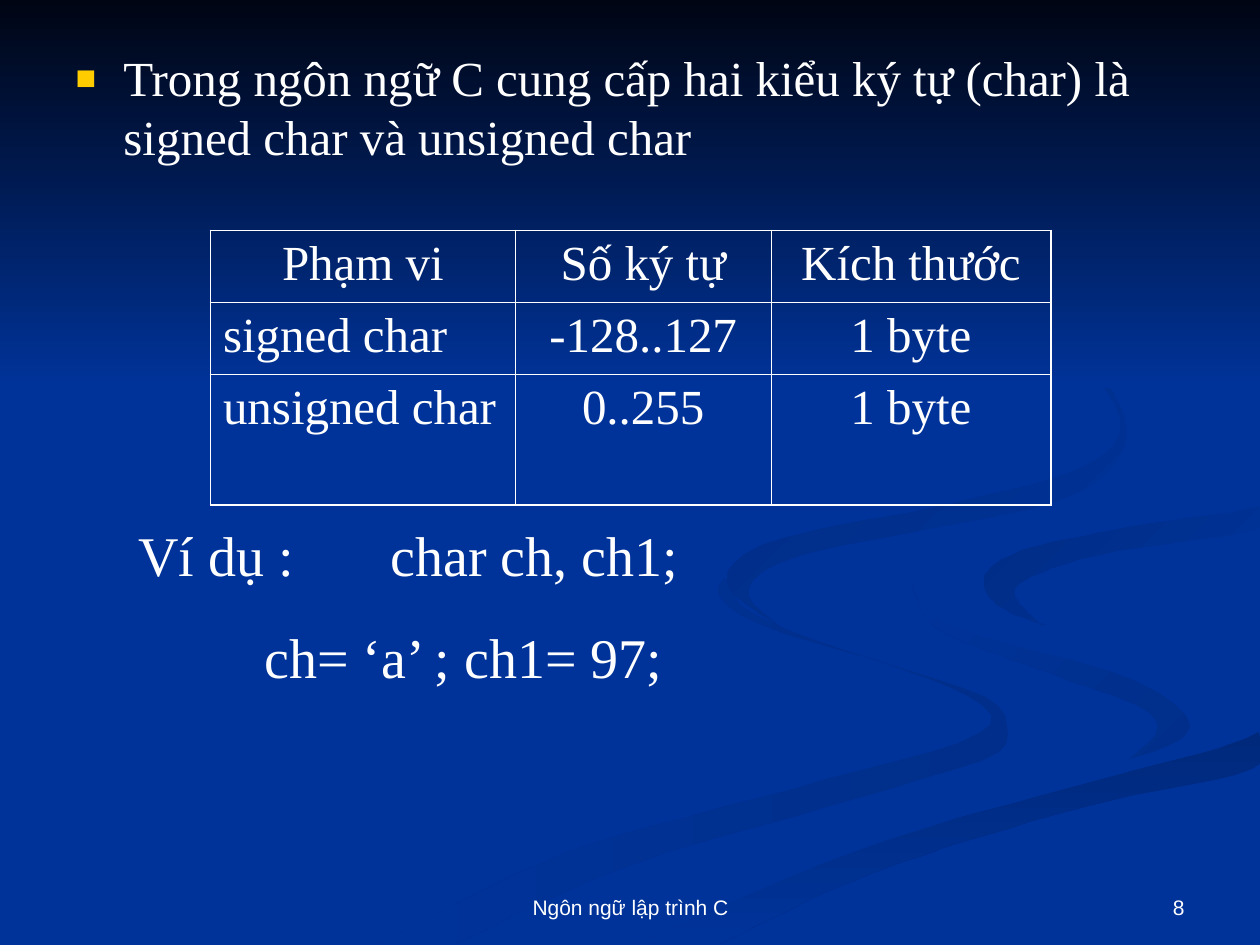
"""Slide on the two character types of the C language, with a table and an example."""
from dataclasses import dataclass
from itertools import pairwise

from lxml.etree import SubElement
from pptx import Presentation
from pptx.dml.color import RGBColor
from pptx.enum.text import MSO_ANCHOR as Anchor, PP_ALIGN as Align
from pptx.oxml import parse_xml
from pptx.oxml.ns import nsdecls, qn
from pptx.util import Inches, Pt


@dataclass(frozen=True)
class Theme:
    blue: str = "003399"
    night: str = "000514"
    left_shade: str = "002E8A"
    lower_shade: str = "00297C"
    right_shade: str = "002C85"
    upper_shade: str = "002B81"
    text: str = "FFFFFF"
    bullet: str = "FFCC00"
    serif: str = "Times New Roman"
    sans: str = "Arial"
    body: int = 28
    example: int = 32
    footer: int = 12
    outer_line: float = 1.08
    inner_line: float = 0.45


theme = Theme()


def add_text(paragraph, text, size, font=theme.serif, align=Align.LEFT):
    """Append one formatted run."""
    paragraph.alignment = align
    run = paragraph.add_run()
    run.text = text
    run.font.size = Pt(size)
    run.font.name = font
    run.font.color.rgb = RGBColor.from_string(theme.text)


def x_on_edge(bends, y):
    """Return x at height y on the smooth curve through (y, x) bends."""
    last = len(bends) - 1
    i = next(k for k in range(last) if y <= bends[k + 1][0] or k == last - 1)
    (y0, x0), (y1, x1) = bends[i], bends[i + 1]
    before, after = bends[max(i - 1, 0)], bends[min(i + 2, last)]
    height = y1 - y0
    slope0 = (x1 - before[1]) / (y1 - before[0])
    slope1 = (after[1] - x0) / (after[0] - y0)
    t = (y - y0) / height
    blend = t * t * (3 - 2 * t)
    curve = height * t * (1 - t) * (slope0 * (1 - t) - slope1 * t)
    return min(x0 + (x1 - x0) * blend + curve, 10)


deck = Presentation()
deck.slide_width, deck.slide_height = Inches(10), Inches(7.5)
slide = deck.slides.add_slide(deck.slide_layouts[1])
slide.background.fill.solid()
slide.background.fill.fore_color.rgb = RGBColor.from_string(theme.blue)
title = slide.shapes.title.element
title.getparent().remove(title)

edges = {
    "slide left": [(0, 0), (7.5, 0)],
    "slide right": [(0, 10), (7.5, 10)],
    "stream left": [(4.59, 5.75), (4.72, 5.7), (4.95, 6.02), (5.35, 7.28), (5.66, 7.86),
                    (5.87, 7.67), (6.2, 6.52), (6.74, 4.58), (7.49, 3)],
    "stream right": [(4.59, 5.75), (4.85, 5.94), (5.13, 6.61), (5.53, 7.81), (5.81, 8),
                     (6.01, 7.86), (6.28, 6.99), (6.87, 4.99), (7.49, 3.61)],
    "river left": [(3.87, 9.99), (4.15, 8.3), (4.32, 7.55), (4.64, 7.25), (4.98, 7.59), (5.35, 8.89),
                   (5.7, 9.43), (5.93, 9.26), (6.25, 8.13), (6.84, 6.19), (7.49, 4.77)],
    "river right": [(3.87, 9.99), (4.02, 9.99), (4.18, 8.99), (4.37, 8.11), (4.63, 7.81), (4.92, 8.17),
                    (5.38, 9.99), (5.81, 9.99), (6.2, 8.68), (6.69, 6.96), (7.49, 5.03)],
    "inner bank": [(4.64, 7.24), (5, 7.46), (5.36, 8.38), (5.62, 9.07), (5.81, 9.18), (6.05, 8.94)],
    "lower bank": [(5.81, 9.99), (6.09, 9.98), (6.4, 8.61), (6.92, 6.95), (7.49, 5.71)],
    "right bank": [(4.02, 9.99), (4.2, 9.98), (4.39, 8.78), (4.59, 8.16), (4.72, 8.05), (4.96, 8.26)],
    "brook left": [(2.33, 7.62), (2.79, 8.46), (3.35, 8.89), (3.7, 8.61), (3.98, 7.63),
                   (4.29, 6.15), (4.62, 5.77), (5, 6.22)],
    "brook right": [(2.33, 7.62), (2.79, 8.5), (3.07, 8.8), (3.44, 8.94), (3.78, 8.76), (4.02, 8.25),
                    (4.3, 6.83), (4.44, 6.24), (4.7, 5.93), (5, 6.22)],
}
bands = [
    ("stream left", "stream right", 4.59, 7.49, theme.left_shade, theme.blue, 180),
    ("inner bank", "river left", 4.64, 6.05, theme.left_shade, theme.blue, 225),
    ("river right", "lower bank", 5.81, 7.49, theme.lower_shade, theme.blue, 90),
    ("river left", "river right", 3.87, 7.49, theme.blue, theme.blue, 0),
    ("river right", "right bank", 4.02, 4.96, theme.blue, theme.right_shade, 225),
    ("brook left", "brook right", 2.33, 5, theme.blue, theme.upper_shade, 225),
    ("slide left", "slide right", 0, 3.08, theme.night, theme.blue, 90),
]
steps = 40
for left_edge, right_edge, top, bottom, start_color, end_color, clockwise_angle in bands:
    levels = [top + (bottom - top) * step / steps for step in range(steps + 1)]
    down = [(100 * x_on_edge(edges[left_edge], y), 100 * y) for y in levels]
    up = [(100 * x_on_edge(edges[right_edge], y), 100 * y) for y in reversed(levels)]
    outline = slide.shapes.build_freeform(*down[0], scale=Inches(0.01))
    outline.add_line_segments(down[1:] + up, close=True)
    band = outline.convert_to_shape()
    band.shadow.inherit = False
    band.line.fill.background()
    if start_color == end_color:
        band.fill.solid()
        band.fill.fore_color.rgb = RGBColor.from_string(start_color)
    else:
        band.fill.gradient()
        band.fill.gradient_angle = 360 - clockwise_angle
        for stop, color in zip(band.fill.gradient_stops, (start_color, end_color)):
            stop.color.rgb = RGBColor.from_string(color)

intro = slide.placeholders[1]
intro.element.getparent().append(intro.element)
intro.left, intro.top, intro.width, intro.height = Inches(0.5), Inches(0.33), Inches(8.92), Inches(4.5)
statement = intro.text_frame.paragraphs[0]
statement.space_before = Pt(0)
bullet = statement._p.get_or_add_pPr()
bullet.set("marL", str(Inches(0.38)))
bullet.set("indent", str(-Inches(0.38)))
SubElement(SubElement(bullet, qn("a:buClr")), qn("a:srgbClr"), val=theme.bullet)
SubElement(bullet, qn("a:buSzPct"), val="70000")
SubElement(bullet, qn("a:buFont"), typeface=theme.sans)
SubElement(bullet, qn("a:buChar"), char="■")
add_text(statement, "Trong ngôn ngữ C cung cấp hai kiểu ký tự (char) là signed char và unsigned char", theme.body)

ranges = [
    ("Phạm vi", "Số ký tự", "Kích thước"),
    ("signed char", "-128..127", "1 byte"),
    ("unsigned char", "0..255", "1 byte"),
]
widths, heights = (2.42, 2.03, 2.22), (0.57, 0.57, 1.04)
grid = slide.shapes.add_table(
    3, 3, Inches(1.67), Inches(1.83), Inches(sum(widths)), Inches(sum(heights))).table
grid.first_row = grid.horz_banding = False
for column, width in zip(grid.columns, widths):
    column.width = Inches(width)
for r, (values, height) in enumerate(zip(ranges, heights)):
    grid.rows[r].height = Inches(height)
    for c, value in enumerate(values):
        cell = grid.cell(r, c)
        cell.fill.background()
        align = Align.LEFT if r and c == 0 else Align.CENTER
        add_text(cell.text_frame.paragraphs[0], value, theme.body, align=align)
        borders = {"lnL": c == 0, "lnR": c == 2, "lnT": r == 0, "lnB": r == 2}
        for position, (side, is_outer) in enumerate(borders.items()):
            weight = Pt(theme.outer_line if is_outer else theme.inner_line)
            cell._tc.get_or_add_tcPr().insert(position, parse_xml(
                f'<a:{side} {nsdecls("a")} w="{weight}"><a:solidFill>'
                f'<a:srgbClr val="{theme.text}"/></a:solidFill></a:{side}>'))

code_lines = ["Ví dụ :\tchar ch, ch1;", "\tch= ‘a’ ; ch1= 97;"]
notes = [
    (1, 4.08, 8.17, 1.45, Anchor.TOP, code_lines, theme.example, theme.serif, Align.LEFT),
    (3.42, 6.83, 3.17, 0.52, Anchor.BOTTOM, ["Ngôn ngữ lập trình C"], theme.footer, theme.sans, Align.CENTER),
    (7.17, 6.83, 2.33, 0.52, Anchor.BOTTOM, ["8"], theme.footer, theme.sans, Align.RIGHT),
]
for left, top, width, height, anchor, lines, size, font, align in notes:
    frame = slide.shapes.add_textbox(Inches(left), Inches(top), Inches(width), Inches(height)).text_frame
    frame.word_wrap = True
    frame.vertical_anchor = anchor
    for number, line in enumerate(lines):
        paragraph = frame.add_paragraph() if number else frame.paragraphs[0]
        if number:
            paragraph.space_before = Pt(20)
        if "\t" in line:
            tabs = SubElement(paragraph._p.get_or_add_pPr(), qn("a:tabLst"))
            for inch in (1, 2):
                SubElement(tabs, qn("a:tab"), pos=str(Inches(inch)), algn="l")
        add_text(paragraph, line, size, font, align)

deck.save("out.pptx")
